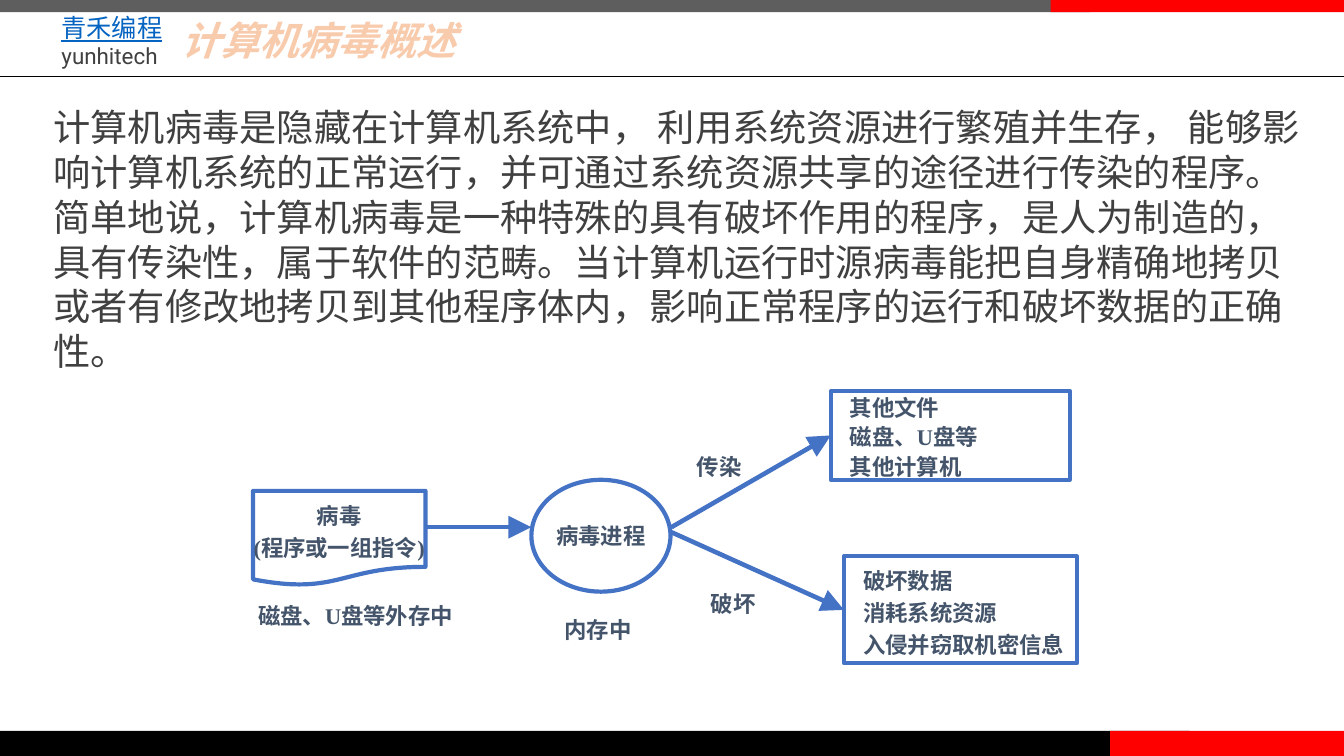
from dataclasses import dataclass
from lxml import etree
from pptx import Presentation
from pptx.dml.color import RGBColor
from pptx.enum.shapes import MSO_CONNECTOR, MSO_SHAPE
from pptx.enum.text import MSO_ANCHOR, PP_ALIGN
from pptx.oxml.ns import qn
from pptx.util import Inches, Pt

RECTANGLE, OVAL = MSO_SHAPE.RECTANGLE, MSO_SHAPE.OVAL
DOCUMENT = MSO_SHAPE.FLOWCHART_DOCUMENT
STRAIGHT = MSO_CONNECTOR.STRAIGHT
TOP, MIDDLE = MSO_ANCHOR.TOP, MSO_ANCHOR.MIDDLE
LEFT, CENTER = PP_ALIGN.LEFT, PP_ALIGN.CENTER


@dataclass(frozen=True)
class Theme:
    gray: str = "5E5E5E"
    black: str = "000000"
    red: str = "FF0000"
    link: str = "0563C1"
    body: str = "404040"
    title: str = "F8CBAD"
    blue: str = "4472C4"
    diagram: str = "44546A"
    cjk: str = "Noto Sans CJK SC"
    brand_font: str = "Roboto"
    diagram_font: str = "Times New Roman"
    brand_size: float = 18
    small_size: float = 16
    title_size: float = 28
    body_size: float = 26.6


theme = Theme()


def write_text(box, lines, *, size=theme.small_size, color=theme.diagram,
               font=theme.diagram_font, bold=True, italic=False, align=LEFT,
               spacing=1.0, anchor=TOP, wrap=True, inset=(0.19, 0.1)):
    frame = box.text_frame
    frame.word_wrap = wrap
    frame.vertical_anchor = anchor
    frame.margin_left = frame.margin_right = Inches(inset[0])
    frame.margin_top = frame.margin_bottom = Inches(inset[1])
    for index, line in enumerate(lines):
        para = frame.paragraphs[0] if index == 0 else frame.add_paragraph()
        para.alignment = align
        para.line_spacing = spacing
        span = para.add_run()
        span.text = line
        span.font.size = Pt(size)
        span.font.name = font
        span.font.bold = bold
        span.font.italic = italic
        span.font.color.rgb = RGBColor.from_string(color)
        latin = span.font._element.find(qn("a:latin"))
        east_asian = etree.Element(qn("a:ea"), typeface=theme.cjk)
        latin.addnext(east_asian)
    return frame


def add_line(start, end, color, width, arrow=False):
    line = page.shapes.add_connector(STRAIGHT, *map(Inches, start + end))
    line.line.color.rgb = RGBColor.from_string(color)
    line.line.width = Pt(width)
    if arrow:
        etree.SubElement(line.line._get_or_add_ln(), qn("a:tailEnd"),
                         type="triangle", w="lg", len="lg")
    etree.SubElement(line._element.spPr, qn("a:effectLst"))
    return line


deck = Presentation()
deck.slide_width, deck.slide_height = Inches(13.33), Inches(7.5)
page = deck.slides.add_slide(deck.slide_layouts[6])

for left, top, width, height, color in [
    (0, 0, 10.81, 0.12, theme.gray),
    (0, 7.25, 11.8, 0.25, theme.black),
    (11.01, 7.25, 2.32, 0.25, theme.red),
    (10.42, 0, 2.91, 0.12, theme.red),
]:
    band = page.shapes.add_shape(RECTANGLE, *map(Inches, (left, top, width, height)))
    band.shadow.inherit = False
    band.fill.solid()
    band.fill.fore_color.rgb = RGBColor.from_string(color)
    band.line.fill.background()

brand = page.shapes.add_textbox(*map(Inches, (0.55, 0.06, 2.91, 0.7)))
brand_frame = write_text(brand, ["青禾编程", "yunhitech"], color=theme.body,
                         font=theme.brand_font, bold=False, inset=(0.06, 0.06))
brand_name = brand_frame.paragraphs[0].runs[0].font
brand_name.size = Pt(theme.brand_size)
brand_name.color.rgb = RGBColor.from_string(theme.link)
brand_name.underline = True

add_line((0, 0.76), (13.33, 0.76), theme.black, 0.5)

title = page.shapes.add_textbox(*map(Inches, (1.7, 0.17, 4.12, 0.53)))
write_text(title, ["计算机病毒概述"], size=theme.title_size, color=theme.title,
           font=theme.cjk, italic=True, spacing=0.9, inset=(0.1, 0.05))

definition = page.shapes.add_textbox(*map(Inches, (0.43, 0.99, 12.59, 3.11)))
write_text(definition, [
    "计算机病毒是隐藏在计算机系统中， 利用系统资源进行繁殖并生存， 能够影响计算机系统的正常运行，"
    "并可通过系统资源共享的途径进行传染的程序。 简单地说，计算机病毒是一种特殊的具有破坏作用的程序，"
    "是人为制造的，具有传染性，属于软件的范畴。当计算机运行时源病毒能把自身精确地拷贝或者有修改地"
    "拷贝到其他程序体内，影响正常程序的运行和破坏数据的正确性。"
], size=theme.body_size, color=theme.body, font=theme.cjk, bold=False,
    spacing=1.0, inset=(0.1, 0.05))

nodes = {}
for name, kind, place, lines, align, spacing in [
    ("virus", DOCUMENT, (2.51, 4.87, 1.71, 0.94), ["病毒", "(程序或一组指令)"], CENTER, 1.2),
    ("process", OVAL, (5.27, 4.76, 1.38, 1.11), ["病毒进程"], CENTER, 1.0),
    ("spread", RECTANGLE, (8.24, 3.88, 2.37, 0.88),
     ["其他文件", "磁盘、U盘等", "其他计算机"], LEFT, 1.1),
    ("damage", RECTANGLE, (8.37, 5.52, 2.31, 1.06),
     ["破坏数据", "消耗系统资源", "入侵并窃取机密信息"], LEFT, 1.2),
]:
    node = page.shapes.add_shape(kind, *map(Inches, place))
    node.shadow.inherit = False
    node.fill.background()
    node.line.color.rgb = RGBColor.from_string(theme.blue)
    node.line.width = Pt(3)
    write_text(node, lines, align=align, spacing=spacing, anchor=MIDDLE, wrap=False)
    nodes[name] = node

for left, top, width, caption in [
    (2.37, 5.87, 2.38, "磁盘、U盘等外存中"),
    (5.41, 6.01, 1.25, "内存中"),
    (6.72, 4.4, 0.86, "传染"),
    (6.86, 5.75, 1.02, "破坏"),
]:
    label = page.shapes.add_textbox(*map(Inches, (left, top, width, 0.46)))
    write_text(label, [caption])

for start, end, target in [
    ((4.22, 5.23), (5.27, 5.23), None),
    ((6.66, 5.28), (8.37, 6.05), "damage"),
    ((6.66, 5.23), (8.24, 4.32), "spread"),
]:
    arrow = add_line(start, end, theme.blue, 3.25, arrow=True)
    if target:
        arrow.end_connect(nodes[target], 1)

deck.save("out.pptx")
